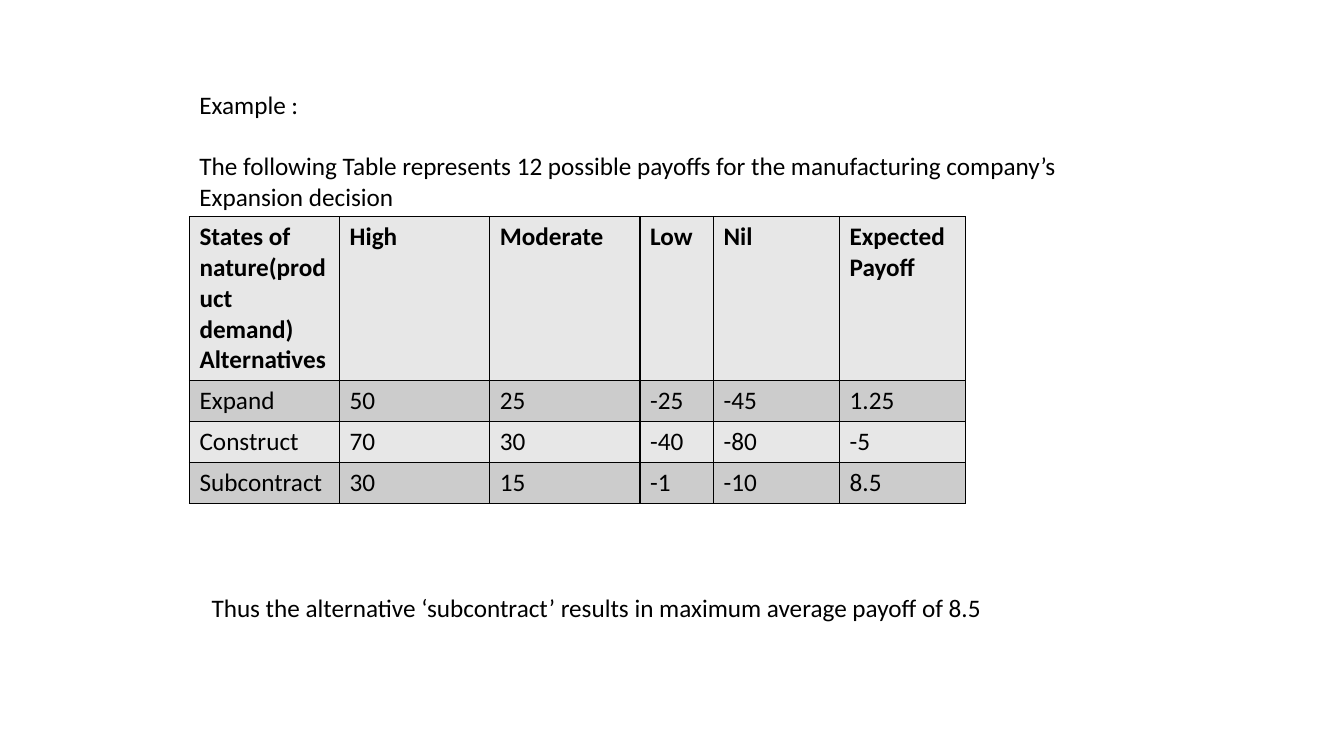
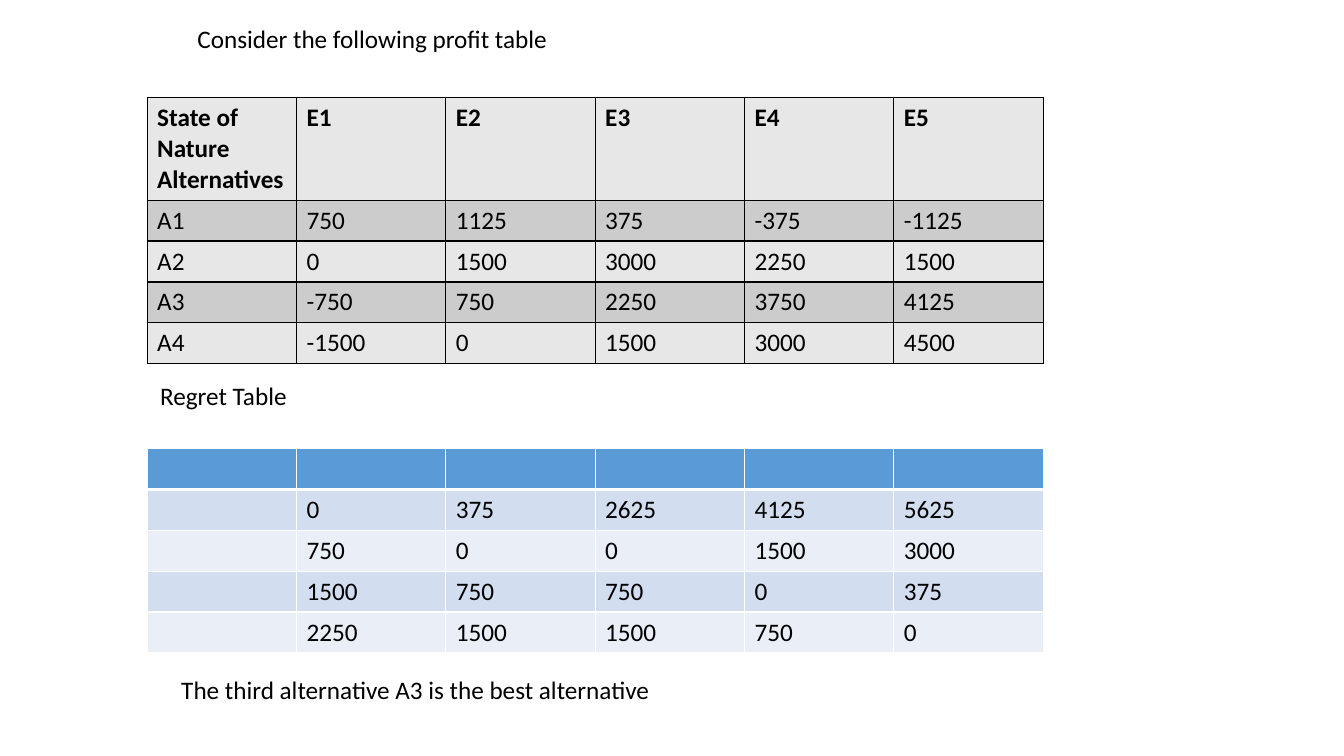
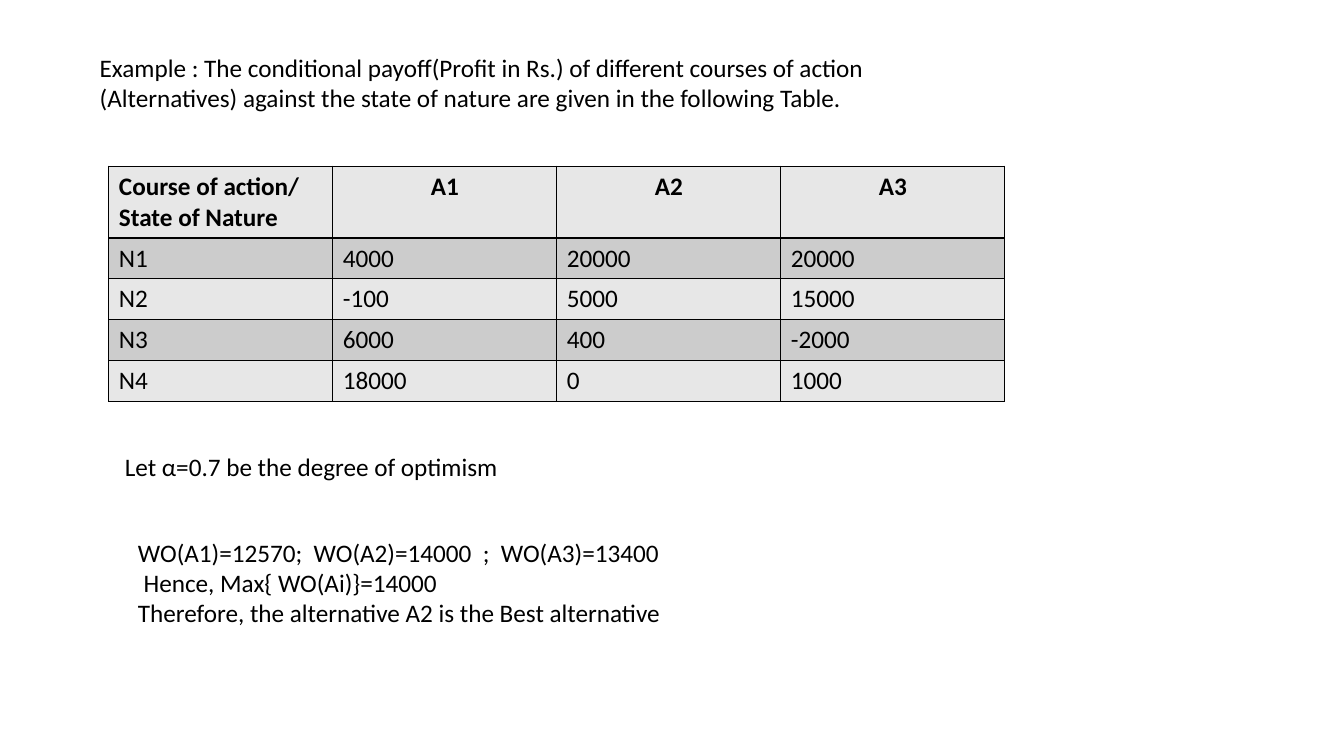
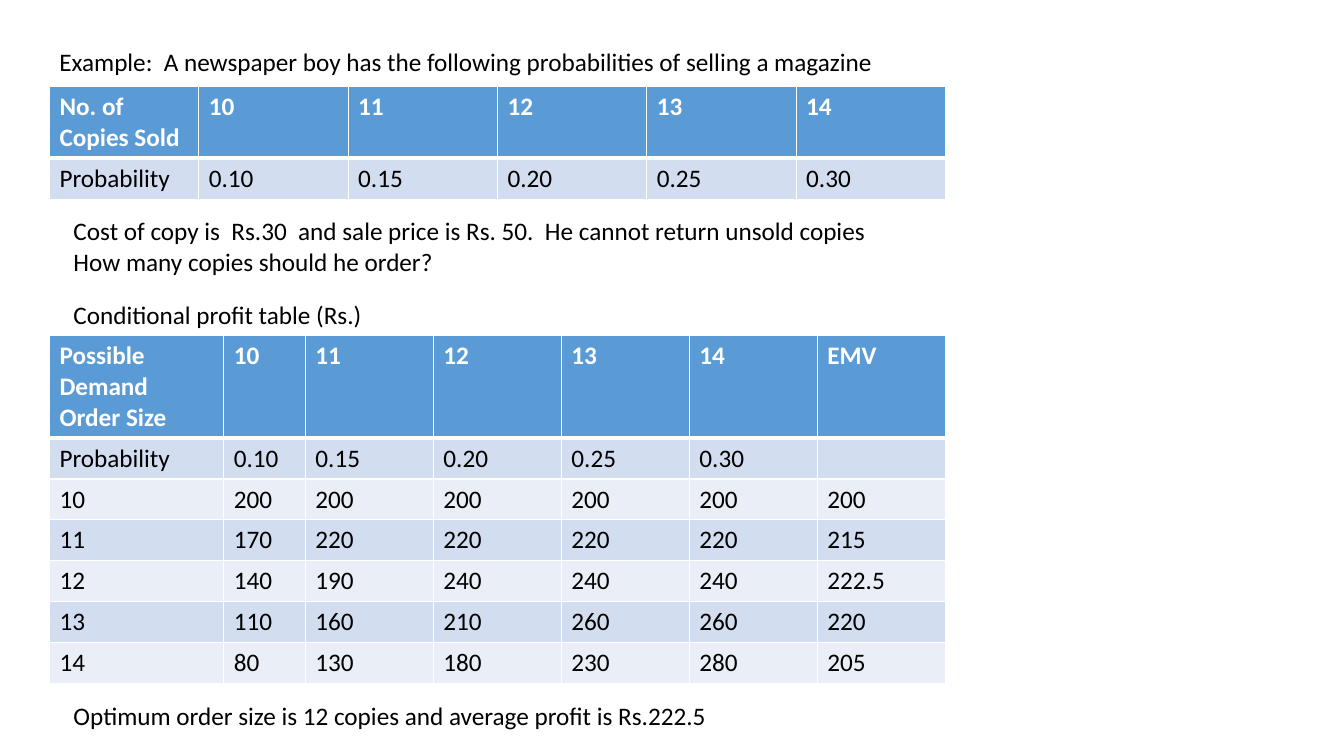
from dataclasses import dataclass

import lxml.etree
import pptx
import pptx.dml.color
import pptx.enum.text
import pptx.oxml.ns
import pptx.presentation
import pptx.slide
import pptx.table
import pptx.text.text
import pptx.util

COLORS = {
    "black": "000000",
    "white": "FFFFFF",
    "light grey": "E7E7E7",
    "dark grey": "CCCCCC",
    "blue": "5B9BD5",
    "pale blue": "D2DEEF",
    "faint blue": "EAEFF7",
}
FONT_NAME = "Calibri"
FONT_SIZE = pptx.util.Pt(18)
BLANK_LINE = pptx.util.Pt(22)
SLIDE_HEIGHT = pptx.util.Inches(7.5)
SLIDE_WIDTH = pptx.util.Emu(SLIDE_HEIGHT * 16 // 9)
LINE_HEIGHT = 4.07
ROW_HEIGHT = 5.41
TABLE_WIDTH = 66.67
LEFT = pptx.enum.text.PP_ALIGN.LEFT
CENTER = pptx.enum.text.PP_ALIGN.CENTER


@dataclass(frozen=True)
class TableStyle:
    header_fill: str
    header_color: str
    bands: tuple[str, str]
    border: str
    header_rule: float


GREY = TableStyle("light grey", "black", ("dark grey", "light grey"), "black", 1)
BLUE = TableStyle("blue", "white", ("pale blue", "faint blue"), "white", 3)


@dataclass(frozen=True)
class Note:
    left: float
    top: float
    width: float
    paragraphs: tuple[str, ...]
    lines: int = 1
    gap_after_first: bool = False


@dataclass(frozen=True)
class Grid:
    left: float
    top: float
    style: TableStyle
    rows: tuple[tuple[str, ...], ...]
    weights: tuple[int, ...]
    header_lines: int = 1
    width: float = TABLE_WIDTH
    header_alignment: pptx.enum.text.PP_ALIGN = LEFT


SLIDES: tuple[tuple[Note | Grid, ...], ...] = (
    (
        Note(14.1, 11.2, 66, (
            "Example :",
            "The following Table represents 12 possible payoffs for the manufacturing company’s",
            "Expansion decision",
        ), lines=4, gap_after_first=True),
        Grid(14.1, 28.67, GREY, (
            ("States of nature(product demand)\nAlternatives", "High", "Moderate", "Low", "Nil", "Expected Payoff"),
            ("Expand", "50", "25", "-25", "-45", "1.25"),
            ("Construct", "70", "30", "-40", "-80", "-5"),
            ("Subcontract", "30", "15", "-1", "-10", "8.5"),
        ), (149, 149, 149, 73, 125, 125), header_lines=5, width=57.75),
        Note(15, 77.73, 59.5, (
            "Thus the alternative ‘subcontract’ results in maximum average payoff of 8.5",
        )),
    ),
    (
        Note(13.95, 2.4, 76, ("Consider the following profit table",)),
        Grid(10.95, 12.93, GREY, (
            ("State of Nature\nAlternatives", "E1", "E2", "E3", "E4", "E5"),
            ("A1", "750", "1125", "375", "-375", "-1125"),
            ("A2", "0", "1500", "3000", "2250", "1500"),
            ("A3", "-750", "750", "2250", "3750", "4125"),
            ("A4", "-1500", "0", "1500", "3000", "4500"),
        ), (1,) * 6, header_lines=3),
        Grid(10.95, 59.33, BLUE, (
            ("",) * 6,
            ("", "0", "375", "2625", "4125", "5625"),
            ("", "750", "0", "0", "1500", "3000"),
            ("", "1500", "750", "750", "0", "375"),
            ("", "2250", "1500", "1500", "750", "0"),
        ), (1,) * 6),
        Note(11.18, 49.6, 55.4, ("Regret Table",)),
        Note(12.75, 88.53, 57.45, ("The third alternative A3 is the best alternative",)),
    ),
    (
        Note(6.68, 6.27, 67.1, (
            "Example : The conditional payoff(Profit in Rs.) of different courses of action "
            "(Alternatives) against the state of nature are given in the following Table.",
        ), lines=2),
        Grid(8.1, 22, GREY, (
            ("Course of action/\nState of Nature", "A1", "A2", "A3"),
            ("N1", "4000", "20000", "20000"),
            ("N2", "-100", "5000", "15000"),
            ("N3", "6000", "400", "-2000"),
            ("N4", "18000", "0", "1000"),
        ), (1,) * 4, header_lines=2, header_alignment=CENTER),
        Note(8.55, 59.07, 29.6, ("Let α=0.7 be the degree of optimism",)),
        Note(9.53, 70.4, 40.7, (
            "WO(A1)=12570;  WO(A2)=14000  ;  WO(A3)=13400",
            " Hence, Max{ WO(Ai)}=14000",
            "Therefore, the alternative A2 is the Best alternative",
        ), lines=3),
    ),
    (
        Note(3.68, 5.47, 73.3, (
            "Example:  A newspaper boy has the following probabilities of selling a magazine",
        )),
        Grid(3.68, 11.47, BLUE, (
            ("No. of Copies Sold", "10", "11", "12", "13", "14"),
            ("Probability", "0.10", "0.15", "0.20", "0.25", "0.30"),
        ), (1,) * 6, header_lines=2),
        Note(4.73, 27.87, 65.6, (
            "Cost of copy is  Rs.30  and sale price is Rs. 50.  He cannot return unsold copies",
            "How many copies should he order?",
        ), lines=2),
        Grid(3.68, 44.4, BLUE, (
            ("Possible Demand\nOrder Size", "10", "11", "12", "13", "14", "EMV"),
            ("Probability", "0.10", "0.15", "0.20", "0.25", "0.30", ""),
            ("10", "200", "200", "200", "200", "200", "200"),
            ("11", "170", "220", "220", "220", "220", "215"),
            ("12", "140", "190", "240", "240", "240", "222.5"),
            ("13", "110", "160", "210", "260", "260", "220"),
            ("14", "80", "130", "180", "230", "280", "205"),
        ), (173, 81) + (127,) * 5, header_lines=3),
        Note(4.73, 38.93, 23.3, ("Conditional profit table (Rs.)",)),
        Note(4.73, 92, 49.1, ("Optimum order size is 12 copies and average profit is Rs.222.5",)),
    ),
)


def across(percent: float) -> pptx.util.Emu:
    return pptx.util.Emu(round(SLIDE_WIDTH * percent / 100))


def down(percent: float) -> pptx.util.Emu:
    return pptx.util.Emu(round(SLIDE_HEIGHT * percent / 100))


def rgb(color: str) -> pptx.dml.color.RGBColor:
    return pptx.dml.color.RGBColor.from_string(COLORS[color])


def set_font(text_frame: pptx.text.text.TextFrame, color: str = "black", bold: bool = False) -> None:
    for paragraph in text_frame.paragraphs:
        font = paragraph.font
        font.name, font.size, font.bold = FONT_NAME, FONT_SIZE, bold
        font.color.rgb = rgb(color)


def draw_note(slide: pptx.slide.Slide, note: Note) -> None:
    height = LINE_HEIGHT * note.lines + 1.3
    box = slide.shapes.add_textbox(across(note.left), down(note.top), across(note.width), down(height))
    text_frame = box.text_frame
    text_frame.word_wrap = True
    text_frame.auto_size = pptx.enum.text.MSO_AUTO_SIZE.SHAPE_TO_FIT_TEXT
    text_frame.text = "\n".join(note.paragraphs)
    set_font(text_frame)
    if note.gap_after_first:
        text_frame.paragraphs[0].space_after = BLANK_LINE


def set_borders(cell: pptx.table._Cell, color: str, top: float, bottom: float) -> None:
    properties = cell._tc.get_or_add_tcPr()
    for side, points in (("L", 1), ("R", 1), ("T", top), ("B", bottom)):
        line = lxml.etree.SubElement(
            properties, pptx.oxml.ns.qn(f"a:ln{side}"), w=str(pptx.util.Pt(points))
        )
        fill = lxml.etree.SubElement(line, pptx.oxml.ns.qn("a:solidFill"))
        lxml.etree.SubElement(fill, pptx.oxml.ns.qn("a:srgbClr"), val=COLORS[color])


def draw_grid(slide: pptx.slide.Slide, grid: Grid) -> None:
    style = grid.style
    heights = [ROW_HEIGHT + LINE_HEIGHT * (grid.header_lines - 1)]
    heights += [ROW_HEIGHT] * (len(grid.rows) - 1)
    table = slide.shapes.add_table(
        len(grid.rows), len(grid.weights),
        across(grid.left), down(grid.top), across(grid.width), down(sum(heights)),
    ).table
    table.first_row = table.horz_banding = False
    for column, weight in zip(table.columns, grid.weights):
        column.width = across(grid.width * weight / sum(grid.weights))
    for index, (row, height, texts) in enumerate(zip(table.rows, heights, grid.rows)):
        row.height = down(height)
        header = index == 0
        for position, (cell, text) in enumerate(zip(row.cells, texts)):
            cell.text = text
            set_font(cell.text_frame, style.header_color if header else "black", header)
            if header and position:
                cell.text_frame.paragraphs[0].alignment = grid.header_alignment
            set_borders(
                cell, style.border,
                top=style.header_rule if index == 1 else 1,
                bottom=style.header_rule if header else 1,
            )
            cell.fill.solid()
            cell.fill.fore_color.rgb = rgb(style.header_fill if header else style.bands[(index - 1) % 2])


def build() -> pptx.presentation.Presentation:
    presentation = pptx.Presentation()
    presentation.slide_width, presentation.slide_height = SLIDE_WIDTH, SLIDE_HEIGHT
    blank = presentation.slide_layouts[6]
    for items in SLIDES:
        slide = presentation.slides.add_slide(blank)
        for item in items:
            if isinstance(item, Note):
                draw_note(slide, item)
            else:
                draw_grid(slide, item)
    return presentation


if __name__ == "__main__":
    build().save("out.pptx")
